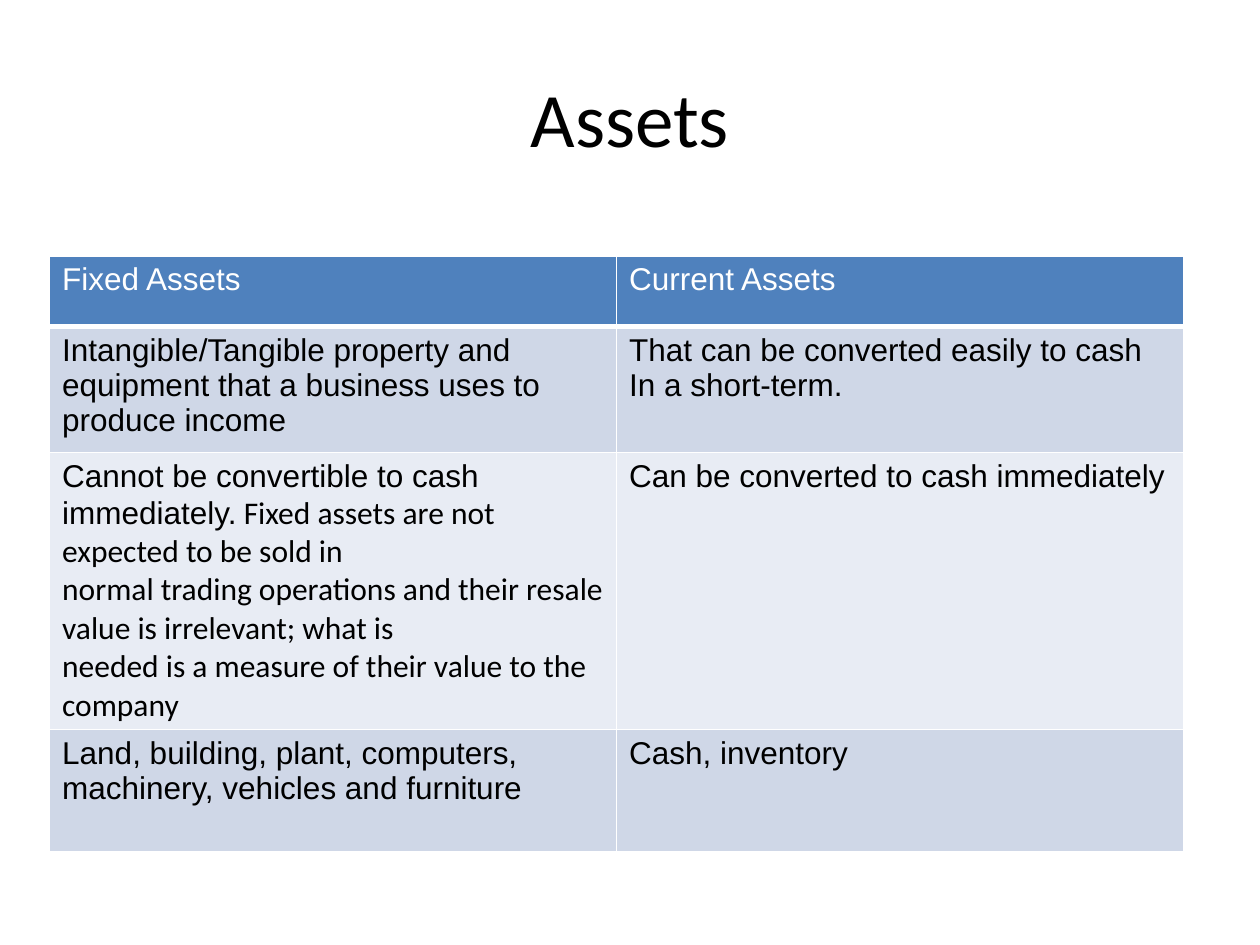
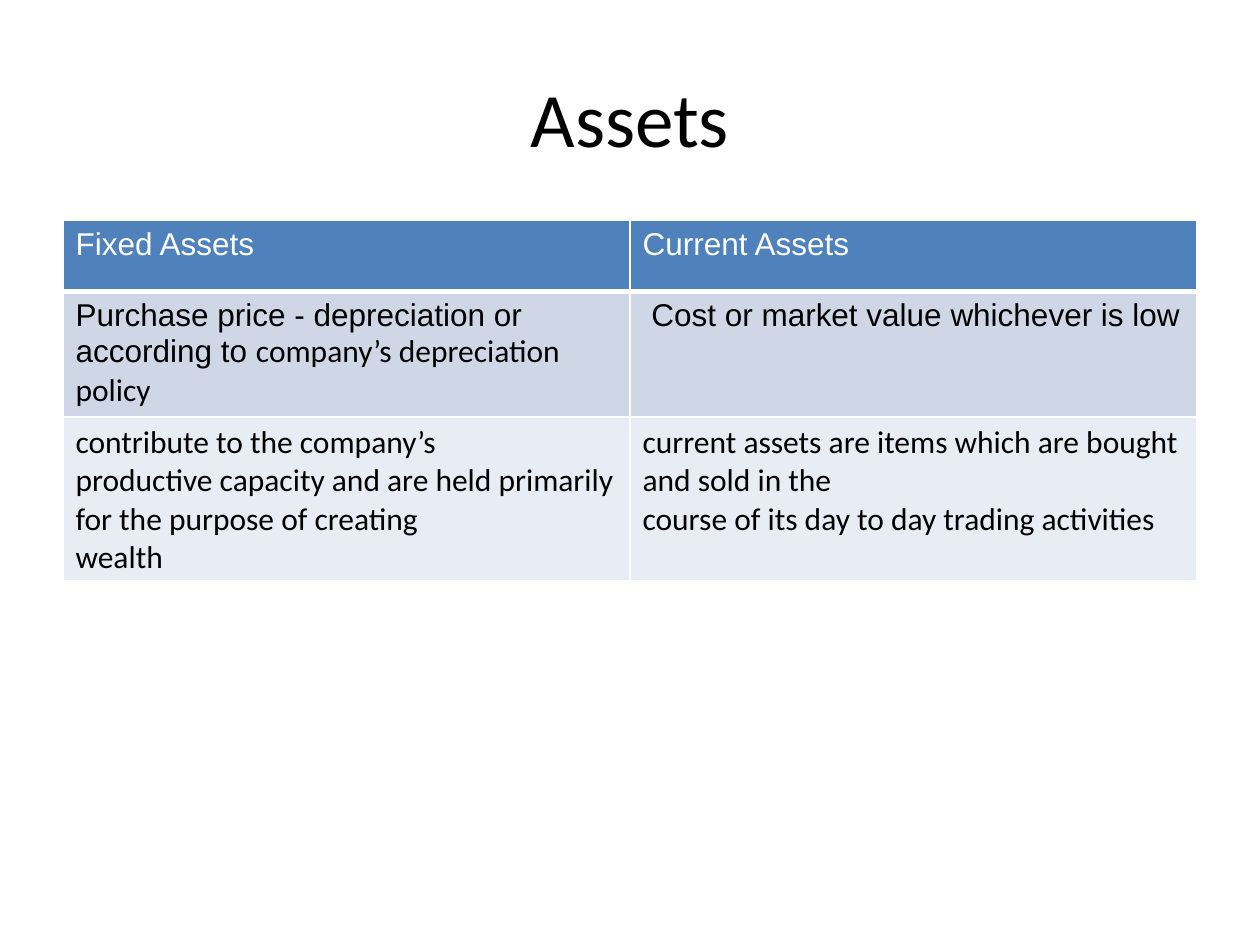
from dataclasses import dataclass

from lxml.etree import SubElement
from pptx import Presentation
from pptx.dml.color import RGBColor as RGB
from pptx.enum.text import MSO_ANCHOR as Anchor, PP_ALIGN as Align
from pptx.oxml.ns import qn
from pptx.util import Cm, Pt


@dataclass(frozen=True)
class Theme:
    text: RGB = RGB.from_string("000000")
    white: RGB = RGB.from_string("FFFFFF")
    header: RGB = RGB.from_string("4F81BD")
    bands: tuple = (RGB.from_string("CFD7E7"), RGB.from_string("E8ECF4"))
    title_font: str = "Calibri"
    cell_font: str = "Arial"
    title_size: int = 44
    cell_size: int = 18
    border: int = 1
    header_rule: int = 3


class Deck:
    def __init__(self, theme):
        self.theme = theme
        self.prs = Presentation()
        self.prs.slide_width, self.prs.slide_height = Cm(25.4), Cm(19.05)
        self.s = None

    def slide(self):
        self.s = self.prs.slides.add_slide(self.prs.slide_layouts[6])

    def run(self, p, text, font, size, color):
        r = p.add_run()
        r.text = text
        r.font.name, r.font.size, r.font.bold = font, Pt(size), False
        r.font.color.rgb = color

    def title(self, text):
        tf = self.s.shapes.add_textbox(Cm(1.27), Cm(0.76), Cm(22.86), Cm(3.18)).text_frame
        tf.word_wrap = True
        tf.vertical_anchor = Anchor.MIDDLE
        p = tf.paragraphs[0]
        p.alignment = Align.CENTER
        self.run(p, text, self.theme.title_font, self.theme.title_size, self.theme.text)

    def borders(self, cell, row):
        """White edges, with a thicker rule between the header and the body."""
        t = self.theme
        thick_edge = {0: "lnB", 1: "lnT"}.get(row)
        tcPr = cell._tc.get_or_add_tcPr()
        for edge in ("lnL", "lnR", "lnT", "lnB"):
            width = t.header_rule if edge == thick_edge else t.border
            ln = SubElement(tcPr, qn(f"a:{edge}"), w=str(Pt(width)))
            fill = SubElement(ln, qn("a:solidFill"))
            SubElement(fill, qn("a:srgbClr"), val=str(t.white))

    def cell(self, cell, row, paragraphs):
        """Fill one cell; a paragraph is a list of (text, font) runs."""
        t = self.theme
        self.borders(cell, row)
        cell.fill.solid()
        cell.fill.fore_color.rgb = t.bands[(row - 1) % 2] if row else t.header
        color = t.text if row else t.white
        tf = cell.text_frame
        for i, runs in enumerate(paragraphs):
            p = tf.add_paragraph() if i else tf.paragraphs[0]
            for text, font in runs:
                self.run(p, text, font, t.cell_size, color)

    def table(self, left, top, body_height, rows):
        """Two-column table whose body rows grow with their text."""
        heights = [Cm(1.42)] + [Cm(body_height)] * (len(rows) - 1)
        table = self.s.shapes.add_table(
            len(rows), 2, Cm(left), Cm(top), Cm(22.86), sum(heights)).table
        table.first_row = table.horz_banding = False
        for i, row in enumerate(rows):
            table.rows[i].height = heights[i]
            for j, paragraphs in enumerate(row):
                self.cell(table.cell(i, j), i, paragraphs)


THEME = Theme()


def arial(*lines):
    return [[(line, THEME.cell_font)] for line in lines]


def calibri(*lines):
    return [[(line, THEME.title_font)] for line in lines]


def mixed(lead, rest):
    """One paragraph that changes from Arial to Calibri."""
    return [[(lead, THEME.cell_font), (rest, THEME.title_font)]]


HEADER = (arial("Fixed Assets"), arial("Current Assets"))

DEFINITIONS = [
    HEADER,
    (arial("Intangible/Tangible property and equipment that a business uses to produce income"),
     arial("That can be converted easily to cash", "In a short-term.")),
    (mixed("Cannot be convertible to cash immediately.",
           " Fixed assets are not expected to be sold in")
     + calibri("normal trading operations and their resale value is irrelevant; what is",
               "needed is a measure of their value to the company"),
     arial("Can be converted to cash immediately")),
    (arial("Land, building, plant, computers, machinery, vehicles and furniture"),
     arial("Cash, inventory")),
]

VALUATION = [
    HEADER,
    (mixed("Purchase price - depreciation or according to ", "company’s depreciation policy"),
     arial(" Cost or market value whichever is low")),
    (calibri("contribute to the company’s",
             "productive capacity and are held primarily for the purpose of creating",
             "wealth"),
     calibri("current assets are items which are bought and sold in the",
             "course of its day to day trading activities")),
]


def main():
    deck = Deck(THEME)
    for left, top, body_height, rows in ((1, 5.16, 2.46, DEFINITIONS),
                                         (1.27, 4.45, 1.42, VALUATION)):
        deck.slide()
        deck.title("Assets")
        deck.table(left, top, body_height, rows)
    deck.prs.save("out.pptx")


if __name__ == "__main__":
    main()
